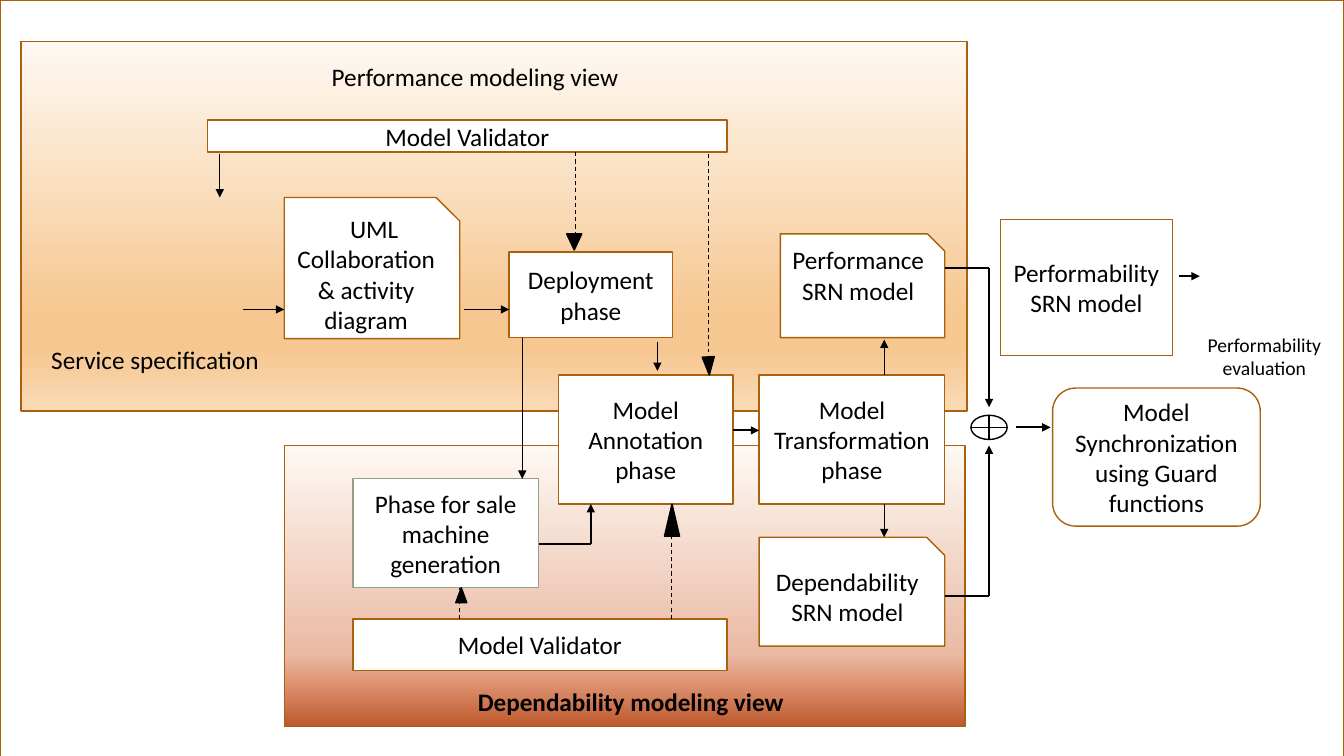
from lxml import etree
from pptx import Presentation
from pptx import util as u
from pptx.dml.color import RGBColor
from pptx.enum import dml, shapes, text
from pptx.oxml.ns import qn

PX = 9144  # 100 px to the inch
C = {"white": "FFFFFF", "black": "000000", "brown": "A9610D", "sage": "94A088"}
G = shapes.MSO_SHAPE
A = text.PP_ALIGN
V = text.MSO_ANCHOR

prs = Presentation()
prs.slide_width, prs.slide_height = 1333 * PX, 750 * PX
s = prs.slides.add_slide(prs.slide_layouts[5])


def write(sp, words, size=18, bold=False, align=A.CENTER, anchor=V.MIDDLE):
    tf = sp.text_frame
    tf.word_wrap = True
    tf.auto_size = text.MSO_AUTO_SIZE.NONE
    tf.vertical_anchor = anchor
    tf.text = words
    for p in tf.paragraphs:
        p.alignment = align
        p.font.name, p.font.size, p.font.bold = "Calibri", u.Pt(size), bold
        p.font.color.rgb = RGBColor.from_string(C["black"])


def add_box(kind, at, fill="white", line="brown"):
    sp = s.shapes.add_shape(kind, *[n * PX for n in at])
    sp.shadow.inherit = False
    if fill:
        sp.fill.solid()
        sp.fill.fore_color.rgb = RGBColor.from_string(C[fill])
    else:
        sp.fill.background()
    sp.line.color.rgb = RGBColor.from_string(C[line])
    sp.line.width = u.Pt(1)
    return sp


# Gradient panels behind the two modeling views
panels = [
    ((21, 41, 938, 367), [(0, "FEF9F3"), (74, "F6C791"), (83, "F6C791"), (100, "F9DAB6")]),
    ((282, 442, 675, 279), [(0, "FEF9F3"), (74, "EABAA5"), (83, "E09878"), (100, "BD582C")]),
]
for at, stops in panels:
    sp = add_box(G.RECTANGLE, at)
    sp.fill.gradient()
    sp.fill.gradient_angle = 270
    gs_list = sp._element.spPr.find(qn("a:gradFill")).find(qn("a:gsLst"))
    for gs in list(gs_list):
        gs_list.remove(gs)
    for pos, color in stops:
        gs = etree.SubElement(gs_list, qn("a:gs"), pos=str(pos * 1000))
        etree.SubElement(gs, qn("a:srgbClr"), val=color)

# Process boxes
boxes = [
    (G.RECTANGLE, (206, 119, 515, 32), "Model Validator"),
    (G.SNIP_1_RECTANGLE, (282, 196, 174, 140), "UML\nCollaboration & activity diagram"),
    (G.RECTANGLE, (505, 250, 162, 85), "Deployment\nphase"),
    (G.SNIP_1_RECTANGLE, (774, 232, 163, 103), "Performance\nSRN model"),
    (G.RECTANGLE, (554, 372, 173, 128), "Model\nAnnotation\nphase"),
    (G.RECTANGLE, (753, 372, 184, 128), "Model\nTransformation\nphase"),
    (G.RECTANGLE, (992, 218, 171, 135), "Performability\nSRN model"),
    (G.RECTANGLE, (350, 475, 184, 108), "Phase for sale\nmachine\ngeneration"),
    (G.RECTANGLE, (350, 614, 371, 51), "Model Validator"),
    (G.SNIP_1_RECTANGLE, (753, 533, 184, 108), "Dependability\nSRN model"),
    (G.ROUNDED_RECTANGLE, (1044, 385, 206, 137), "Model\nSynchronization\nusing Guard\nfunctions"),
]
for kind, at, words in boxes:
    sp = add_box(kind, at, line="sage" if words.startswith("Phase") else "brown")
    write(sp, words)
    if words.startswith("UML"):
        sp.text_frame.paragraphs[0]._p.get_or_add_pPr().set("marL", str(16 * PX))
    if words.startswith("Performance"):
        sp.text_frame.margin_bottom = 35 * PX

# Large arrowheads of the dashed validator lines, and the merge symbol
for kind, at, turn, fill in [
    (G.ISOSCELES_TRIANGLE, (562, 232, 15, 16), 180, "black"),
    (G.ISOSCELES_TRIANGLE, (697, 354, 12, 18), 176.8, "black"),
    (G.ISOSCELES_TRIANGLE, (659, 500, 15, 32), 0, "black"),
    (G.ISOSCELES_TRIANGLE, (452, 583, 11, 15), 0, "black"),
    (G.FLOWCHART_OR, (963, 412, 36, 24), 0, "white"),
]:
    add_box(kind, at, fill, "black").rotation = turn

# Lines: ends, width in points, style
dashed = [(571, 151, 571, 232), (703, 153, 703, 349), (666, 614, 666, 529), (456, 614, 456, 583)]
plain = [(937, 266, 981, 266), (535, 540, 586, 540), (937, 591, 981, 591)]
thin_arrows = [
    (241, 307, 282, 307), (460, 307, 505, 307), (218, 153, 218, 196), (652, 339, 652, 368),
    (877, 372, 877, 337), (518, 335, 518, 475), (877, 500, 877, 533),
]
thick_arrows = [
    (727, 427, 753, 427), (981, 266, 981, 404), (981, 591, 981, 442),
    (586, 540, 586, 500), (1008, 424, 1042, 424), (1169, 274, 1190, 274),
]
for group, width, style in [
    (dashed, 0.75, "dash"), (plain, 1.5, "plain"),
    (thin_arrows, 1, "arrow"), (thick_arrows, 1.5, "arrow"),
]:
    for ends in group:
        cn = s.shapes.add_connector(shapes.MSO_CONNECTOR.STRAIGHT, *[n * PX for n in ends])
        cn.line.color.rgb = RGBColor.from_string(C["black"])
        cn.line.width = u.Pt(width)
        if style == "dash":
            cn.line.dash_style = dml.MSO_LINE.DASH
        if style == "arrow":
            etree.SubElement(cn.line._get_or_add_ln(), qn("a:tailEnd"), type="triangle")
        etree.SubElement(cn._element.spPr, qn("a:effectLst"))

# Title and labels
title = s.shapes.title
title.left, title.top, title.width, title.height = [n * PX for n in (319, 56, 418, 40)]
write(title, "Performance modeling view", align=A.LEFT, anchor=V.TOP)
s.shapes._spTree.append(title._element)

for at, words, fmt in [
    ((41, 337, 241, 40), "Service specification", {"align": A.LEFT}),
    ((464, 676, 371, 40), "Dependability modeling view", {"align": A.LEFT, "bold": True}),
    ((1178, 325, 152, 57), "Performability\nevaluation", {"size": 14}),
]:
    write(s.shapes.add_textbox(*[n * PX for n in at]), words, anchor=V.TOP, **fmt)

# Slide frame, open at the bottom edge
add_box(G.RECTANGLE, (0, 0, 1333, 786), fill=None)

prs.save("out.pptx")
